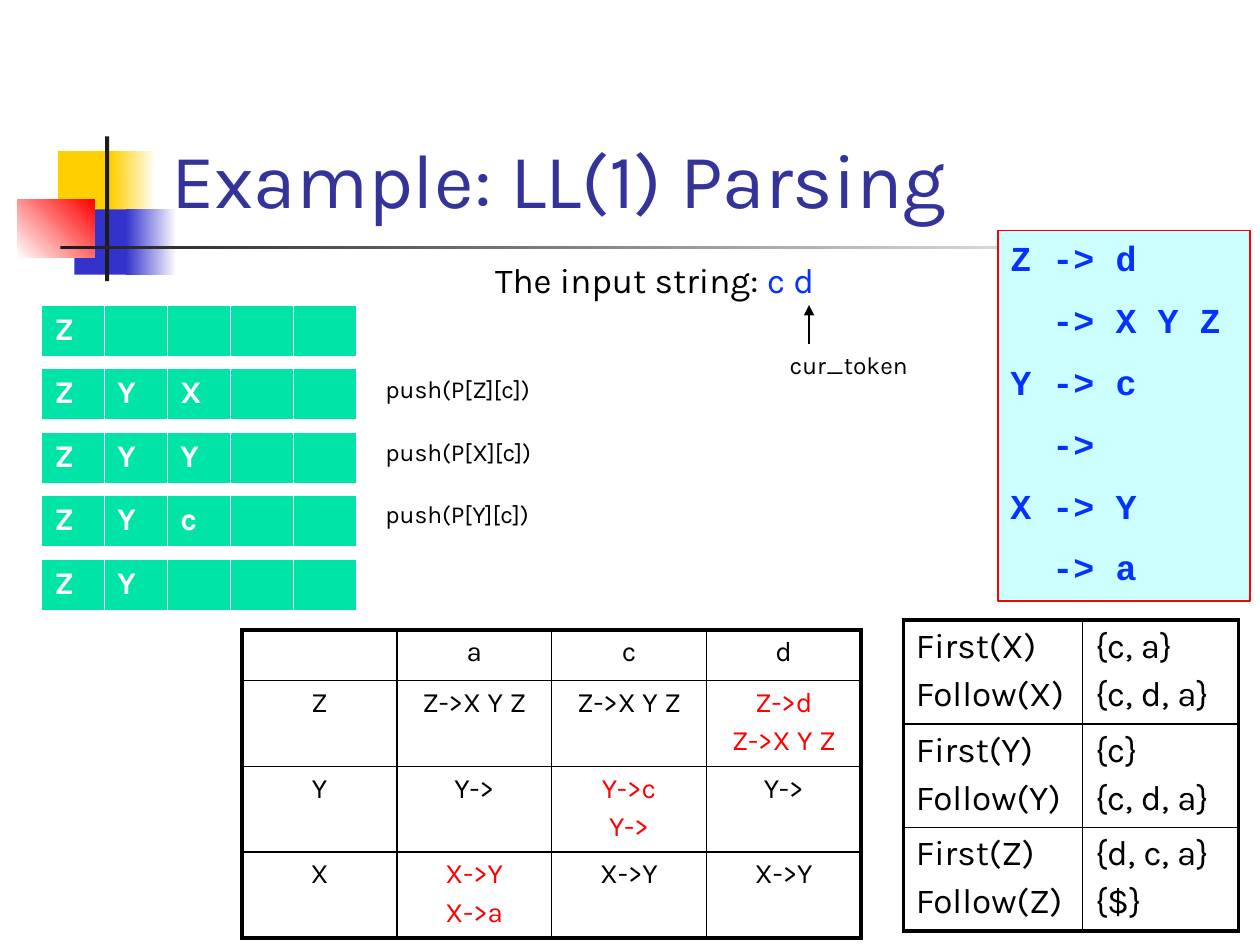
"""Build the slide that walks through an LL(1) parsing example."""
from lxml.etree import SubElement
from pptx import Presentation
from pptx.dml.color import RGBColor
from pptx.enum.shapes import MSO_CONNECTOR, MSO_SHAPE
from pptx.enum.text import MSO_ANCHOR, PP_ALIGN
from pptx.oxml import parse_xml
from pptx.oxml.ns import nsdecls, qn
from pptx.util import Cm, Pt

BLACK = RGBColor(0x00, 0x00, 0x00)
WHITE = RGBColor(0xFF, 0xFF, 0xFF)
CHARCOAL = RGBColor(0x1C, 0x1C, 0x1C)
YELLOW = RGBColor(0xFF, 0xCF, 0x01)
INDIGO = RGBColor(0x33, 0x33, 0xCC)
TITLE_BLUE = RGBColor(0x33, 0x33, 0x99)
CODE_BLUE = RGBColor(0x04, 0x32, 0xFF)
RED = RGBColor(0xFF, 0x00, 0x00)
PALE_CYAN = RGBColor(0xCC, 0xFF, 0xFF)
GREEN = RGBColor(0x00, 0xE4, 0xA8)

GRAMMAR = ["Z -> d", "  -> X Y Z", "Y -> c", "  ->", "X -> Y", "  -> a"]
FIRST_FOLLOW = [
    ["First(X)\nFollow(X)", "{c, a}\n{c, d, a}"],
    ["First(Y)\nFollow(Y)", "{c}\n{c, d, a}"],
    ["First(Z)\nFollow(Z)", "{d, c, a}\n{$}"],
]
PARSE_TABLE = [
    ["", "a", "c", "d"],
    ["Z", "Z->X Y Z", "Z->X Y Z", "Z->d\nZ->X Y Z"],
    ["Y", "Y->", "Y->c\nY->", "Y->"],
    ["X", "X->Y\nX->a", "X->Y", "X->Y"],
]
STACKS = ["Z", "ZYX", "ZYY", "ZYc", "ZY"]
STACK_SIZE = 5
PUSHES = ["push(P[Z][c])", "push(P[X][c])", "push(P[Y][c])"]


class SlideBuilder:
    """Hold the fonts and the current slide, and draw each kind of element."""

    font = "Karla"
    code_font = "Courier New"

    def __init__(self, slide):
        self.slide = slide

    def add_lines(self, frame, lines, size, bold=False, font=None, space=0,
                  align=PP_ALIGN.LEFT):
        """Fill a frame with lines, each a list of (text, color) runs."""
        for index, runs in enumerate(lines):
            paragraph = frame.add_paragraph() if index else frame.paragraphs[0]
            paragraph.alignment = align
            if index and space:
                paragraph.space_before = Pt(space)
            for text, color in runs:
                run = paragraph.add_run()
                run.text = text
                run.font.name = font or self.font
                run.font.size = Pt(size)
                run.font.bold = bold
                run.font.color.rgb = color

    def text(self, left, top, width, height, runs, size, anchor=MSO_ANCHOR.TOP):
        """Add a one-paragraph text box."""
        box = self.slide.shapes.add_textbox(Cm(left), Cm(top), Cm(width), Cm(height))
        box.text_frame.word_wrap = True
        box.text_frame.vertical_anchor = anchor
        self.add_lines(box.text_frame, [runs], size)

    def rectangle(self, left, top, width, height, color, end_color=None, angle=0):
        """Add a rectangle with a solid or a two-color gradient fill."""
        shape = self.slide.shapes.add_shape(
            MSO_SHAPE.RECTANGLE, Cm(left), Cm(top), Cm(width), Cm(height))
        shape.shadow.inherit = False
        shape.line.fill.background()
        if end_color is None:
            shape.fill.solid()
            shape.fill.fore_color.rgb = color
        else:
            shape.fill.gradient()
            shape.fill.gradient_angle = angle
            for position, (stop, stop_color) in enumerate(
                    zip(shape.fill.gradient_stops, (color, end_color))):
                stop.position = position
                stop.color.rgb = stop_color
        return shape

    def code(self, left, top, width, height, lines):
        """Add a framed panel of code."""
        panel = self.rectangle(left, top, width, height, PALE_CYAN)
        panel.line.color.rgb = RED
        panel.line.width = Pt(0.75)
        panel.text_frame.word_wrap = True
        panel.text_frame.vertical_anchor = MSO_ANCHOR.TOP
        self.add_lines(panel.text_frame, [[(line, CODE_BLUE)] for line in lines],
                       20, bold=True, font=self.code_font, space=11.3)

    def arrow(self, start_x, start_y, end_x, end_y):
        """Add a thin line with an arrowhead at its end."""
        connector = self.slide.shapes.add_connector(
            MSO_CONNECTOR.STRAIGHT, Cm(start_x), Cm(start_y), Cm(end_x), Cm(end_y))
        connector.line.color.rgb = BLACK
        connector.line.width = Pt(0.75)
        properties = connector._element.spPr
        SubElement(properties.find(qn("a:ln")), qn("a:tailEnd"), type="triangle")
        SubElement(properties, qn("a:effectLst"))

    def border(self, cell, widths, color):
        """Set the left, right, top and bottom borders of a cell."""
        properties = cell._tc.get_or_add_tcPr()
        for index, (side, width) in enumerate(zip("LRTB", widths)):
            properties.insert(index, parse_xml(
                f'<a:ln{side} {nsdecls("a")} w="{Pt(width)}"><a:solidFill>'
                f'<a:srgbClr val="{color}"/></a:solidFill></a:ln{side}>'))

    def table(self, left, top, widths, heights, rows, size, color=BLACK, pair_color=None,
              fill=None, border_color=BLACK, outer=2.25, bold=False, space=0,
              align=PP_ALIGN.LEFT):
        """Add a table; pair_color marks the cells that hold two lines."""
        graphic = self.slide.shapes.add_table(
            len(heights), len(widths), Cm(left), Cm(top), Cm(sum(widths)), Cm(sum(heights)))
        table = graphic.table
        table.first_row = table.horz_banding = False
        for column, width in zip(table.columns, widths):
            column.width = Cm(width)
        for row, height in zip(table.rows, heights):
            row.height = Cm(height)
        last_row, last_column = len(heights) - 1, len(widths) - 1
        for row_index, row in enumerate(rows):
            for column_index, content in enumerate(row):
                cell = table.cell(row_index, column_index)
                if fill is None:
                    cell.fill.background()
                else:
                    cell.fill.solid()
                    cell.fill.fore_color.rgb = fill
                edges = (column_index == 0, column_index == last_column,
                         row_index == 0, row_index == last_row)
                self.border(cell, [outer if edge else 1 for edge in edges], border_color)
                lines = content.split("\n")
                text_color = pair_color if pair_color and len(lines) > 1 else color
                self.add_lines(cell.text_frame, [[(line, text_color)] for line in lines],
                               size, bold=bold, space=space, align=align)


def main():
    """Draw the slide and save it."""
    presentation = Presentation()
    presentation.slide_width, presentation.slide_height = Cm(25.4), Cm(19.05)
    builder = SlideBuilder(presentation.slides.add_slide(presentation.slide_layouts[6]))

    builder.rectangle(1.17, 3.05, 1.22, 1.32, YELLOW)
    builder.rectangle(2.24, 3.05, 0.91, 1.32, YELLOW, WHITE)
    builder.rectangle(1.5, 4.22, 1.17, 1.32, INDIGO)
    builder.rectangle(2.54, 4.22, 1.02, 1.32, INDIGO, WHITE)
    builder.rectangle(0.35, 4.02, 1.55, 1.17, WHITE, RED, 45)
    builder.rectangle(2.12, 2.75, 0.08, 2.92, CHARCOAL)
    builder.rectangle(1.22, 4.95, 22.86, 0.08, CHARCOAL, WHITE)
    builder.text(3.2, 0.58, 21.64, 4.06, [("Example: LL(1) Parsing", TITLE_BLUE)],
                 44, MSO_ANCHOR.BOTTOM)

    builder.table(18.21, 12.5, [3.61, 3.15], [2.06] * 3, FIRST_FOLLOW, 20, space=4)
    builder.code(20.12, 4.65, 5.08, 7.47, GRAMMAR)
    builder.text(9.73, 5.08, 9.73, 1.09,
                 [("The input string: ", BLACK), ("c d", CODE_BLUE)], 20)
    builder.table(4.88, 12.7, [3.12] * 4, [0.93] + [1.73] * 3, PARSE_TABLE, 16,
                  pair_color=RED, space=3.2, align=PP_ALIGN.CENTER)
    builder.arrow(16.31, 6.93, 16.31, 6.15)
    builder.text(15.67, 6.93, 3.18, 0.86, [("cur_token", BLACK)], 14)

    for index, stack in enumerate(STACKS):
        cells = list(stack) + [""] * (STACK_SIZE - len(stack))
        builder.table(0.84, 6.15 + 1.28 * index, [1.27] * STACK_SIZE, [1.04], [cells], 18,
                      color=WHITE, fill=GREEN, border_color=WHITE, outer=1, bold=True)
    for index, push in enumerate(PUSHES):
        builder.text(7.52, 7.42 + 1.26 * index, 4.11, 0.86, [(push, BLACK)], 14)

    presentation.save("out.pptx")


if __name__ == "__main__":
    main()
